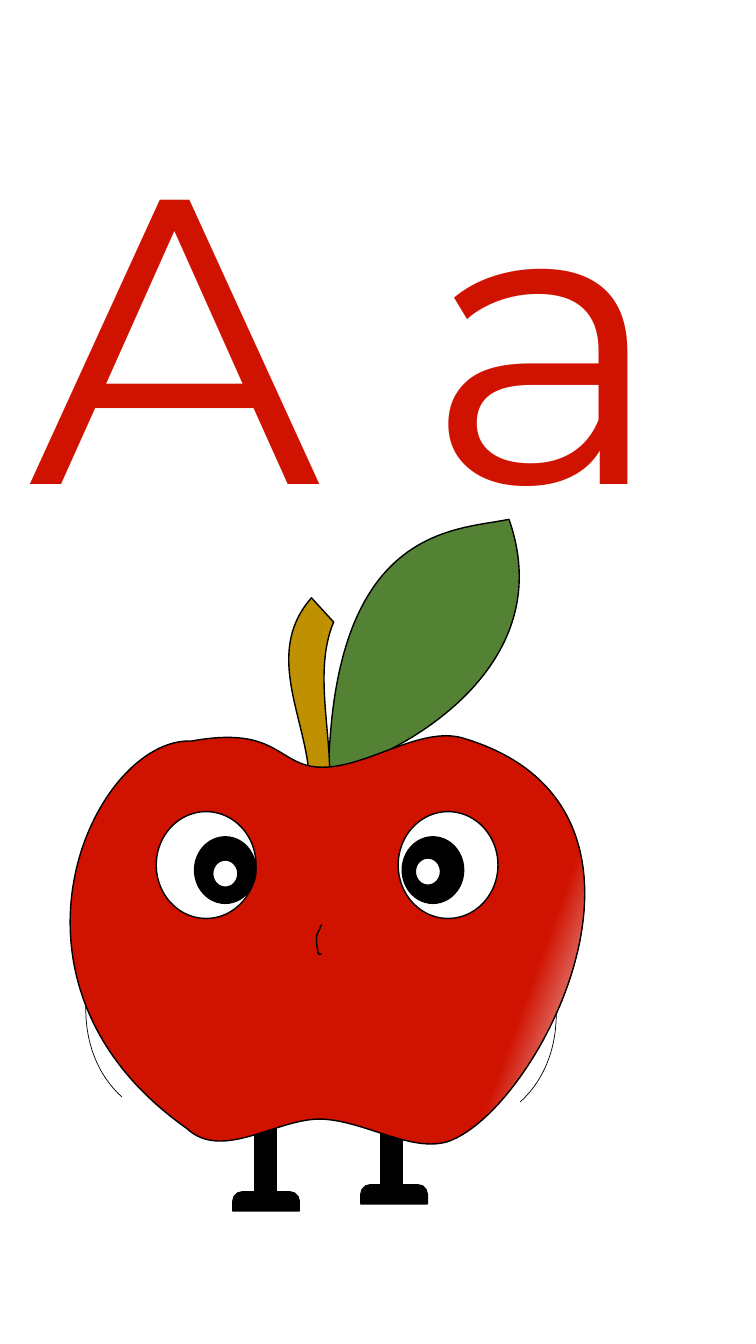
from math import cos, radians, sin

from lxml.etree import SubElement
from pptx import Presentation
from pptx.dml.color import RGBColor
from pptx.enum.shapes import MSO_SHAPE
from pptx.enum.text import MSO_ANCHOR, MSO_AUTO_SIZE, PP_ALIGN
from pptx.oxml.ns import qn
from pptx.util import Pt

EMU_PER_PX = 9144
RED = RGBColor(0xD0, 0x12, 0x00)
SHINE = RGBColor(0xF6, 0xF8, 0xFC)
GREEN = RGBColor(0x54, 0x82, 0x35)
BROWN = RGBColor(0xBF, 0x90, 0x00)
BLACK = RGBColor(0, 0, 0)
WHITE = RGBColor(0xFF, 0xFF, 0xFF)

LEAF = [(326, 766), (331, 521, 452, 526, 505, 515), (560, 672, 376, 758, 326, 766)]
STEM = [(309, 593), (331, 617), (311, 665, 329, 724, 327, 778),
        (307, 780), (308, 718, 259, 650, 309, 593)]
BODY = [(190, 735), (278, 719, 275, 761, 320, 761), (365, 761, 417, 720, 459, 732),
        (686, 799, 541, 1089, 450, 1130), (414, 1147, 364, 1112, 320, 1110),
        (276, 1108, 221, 1153, 185, 1119), (-22, 973, 94, 731, 190, 735)]
NOSE = [(319, 917), (319, 918, 319, 918, 318, 919), (318, 920, 317, 921, 317, 922),
        (316, 924, 314, 926, 314, 929), (314, 932, 314, 938, 315, 941),
        (315, 944, 316, 945, 316, 946), (317, 947, 318, 946, 319, 946)]


def px(value):
    """Turn px into EMU."""
    return round(value * EMU_PER_PX)


def style(shape, fill, line_width=1):
    """Give a shape its fill, black outline and no shadow."""
    shape.shadow.inherit = False
    if fill is None:
        shape.fill.background()
    else:
        shape.fill.solid()
        shape.fill.fore_color.rgb = fill
    shape.line.color.rgb = BLACK
    shape.line.width = Pt(line_width)


def add_preset(shapes, kind, left, top, width, height, fill, line_width=1):
    """Add a styled preset shape."""
    shape = shapes.add_shape(kind, px(left), px(top), px(width), px(height))
    style(shape, fill, line_width)
    return shape


def local_point(point, box, rotation):
    """Turn a slide point into a point of the unrotated box."""
    left, top, width, height = box
    across, down = point[0] - left - width / 2, point[1] - top - height / 2
    cosine, sine = cos(radians(rotation)), sin(radians(rotation))
    return (px(across * cosine + down * sine + width / 2),
            px(down * cosine - across * sine + height / 2))


def add_outline(shapes, outline, box, fill, rotation=0, close=True):
    """Add a freeform of straight lines and cubic curves within a box."""
    ends = [(px(segment[-2]), px(segment[-1])) for segment in outline]
    builder = shapes.build_freeform(*ends[0], scale=1.0)
    builder.add_line_segments(ends[1:], close=close)
    shape = builder.convert_to_shape()
    shape.left, shape.top, shape.width, shape.height = map(px, box)
    shape.rotation = rotation
    trace = next(shape.element.iter(qn("a:path")))
    trace.set("w", str(px(box[2])))
    trace.set("h", str(px(box[3])))
    for command in list(trace):
        trace.remove(command)
    for index, segment in enumerate(outline):
        tag = "a:moveTo" if index == 0 else "a:lnTo" if len(segment) == 2 else "a:cubicBezTo"
        command = SubElement(trace, qn(tag))
        for point in zip(segment[::2], segment[1::2]):
            x, y = local_point(point, box, rotation)
            SubElement(command, qn("a:pt"), x=str(x), y=str(y))
    if close:
        SubElement(trace, qn("a:close"))
    style(shape, fill)
    return shape


def add_arm(shapes, left, top, rotation, mirrored):
    """Add a thin arc that shows beside the apple."""
    arm = add_preset(shapes, MSO_SHAPE.ARC, left, top, 347, 265, None, 0.5)
    arm.adjustments[0] = 165.025
    arm.adjustments[1] = 0
    arm.rotation = rotation
    if mirrored:
        arm.element.spPr.get_or_add_xfrm().set("flipH", "1")


def add_body(shapes):
    """Add the apple with its shine at the lower right."""
    fill = add_outline(shapes, BODY, (70, 730, 510, 404), RED).fill
    fill.gradient()
    fill.gradient_angle = 340
    for stop, position, color in zip(fill.gradient_stops, (0.83, 1), (RED, SHINE)):
        stop.position = position
        stop.color.rgb = color


def add_foot(shapes, left, top):
    """Add a foot with a rounded top."""
    foot = add_preset(shapes, MSO_SHAPE.ROUND_2_SAME_RECTANGLE, left, top, 66, 19, BLACK)
    foot.adjustments[0] = 0.5
    foot.adjustments[1] = 0


def add_letters(slide):
    """Place the big letters in the title."""
    title = slide.shapes.title
    title.left, title.top, title.width, title.height = map(px, (19, 73, 793, 498))
    frame = title.text_frame
    frame.text = "A a"
    frame.word_wrap = True
    frame.auto_size = MSO_AUTO_SIZE.SHAPE_TO_FIT_TEXT
    frame.vertical_anchor = MSO_ANCHOR.TOP
    paragraph = frame.paragraphs[0]
    paragraph.alignment = PP_ALIGN.LEFT
    paragraph.font.name = "Montserrat"
    paragraph.font.size = Pt(290)
    paragraph.font.color.rgb = RED


def main():
    """Build the letter card with its apple."""
    presentation = Presentation()
    presentation.slide_width, presentation.slide_height = px(750), px(1333)
    slide = presentation.slides.add_slide(presentation.slide_layouts[5])
    add_letters(slide)
    shapes = slide.shapes.add_group_shape().shapes
    for left, top in ((378, 1070), (253, 1079)):
        add_preset(shapes, MSO_SHAPE.RECTANGLE, left, top, 21, 110, BLACK)
    add_arm(shapes, 64, 827, 312.2, True)
    add_arm(shapes, 226, 832, 47.8, False)
    add_outline(shapes, LEAF, (260, 567, 306, 142), GREEN, 313.1)
    add_outline(shapes, STEM, (289, 593, 49, 186), BROWN, 354.2)
    add_body(shapes)
    for white_left, pupil_left in ((155, 193), (395, 399)):
        add_preset(shapes, MSO_SHAPE.OVAL, white_left, 805, 99, 106, WHITE)
        add_preset(shapes, MSO_SHAPE.OVAL, pupil_left, 830, 61, 66, BLACK)
    add_outline(shapes, NOSE, (314, 917, 6, 29), None, close=False)
    for left, top in ((211, 853), (412, 851)):
        add_preset(shapes, MSO_SHAPE.OVAL, left, top, 25, 27, WHITE)
    add_foot(shapes, 231, 1182)
    add_foot(shapes, 358, 1175)
    presentation.save("out.pptx")


if __name__ == "__main__":
    main()
